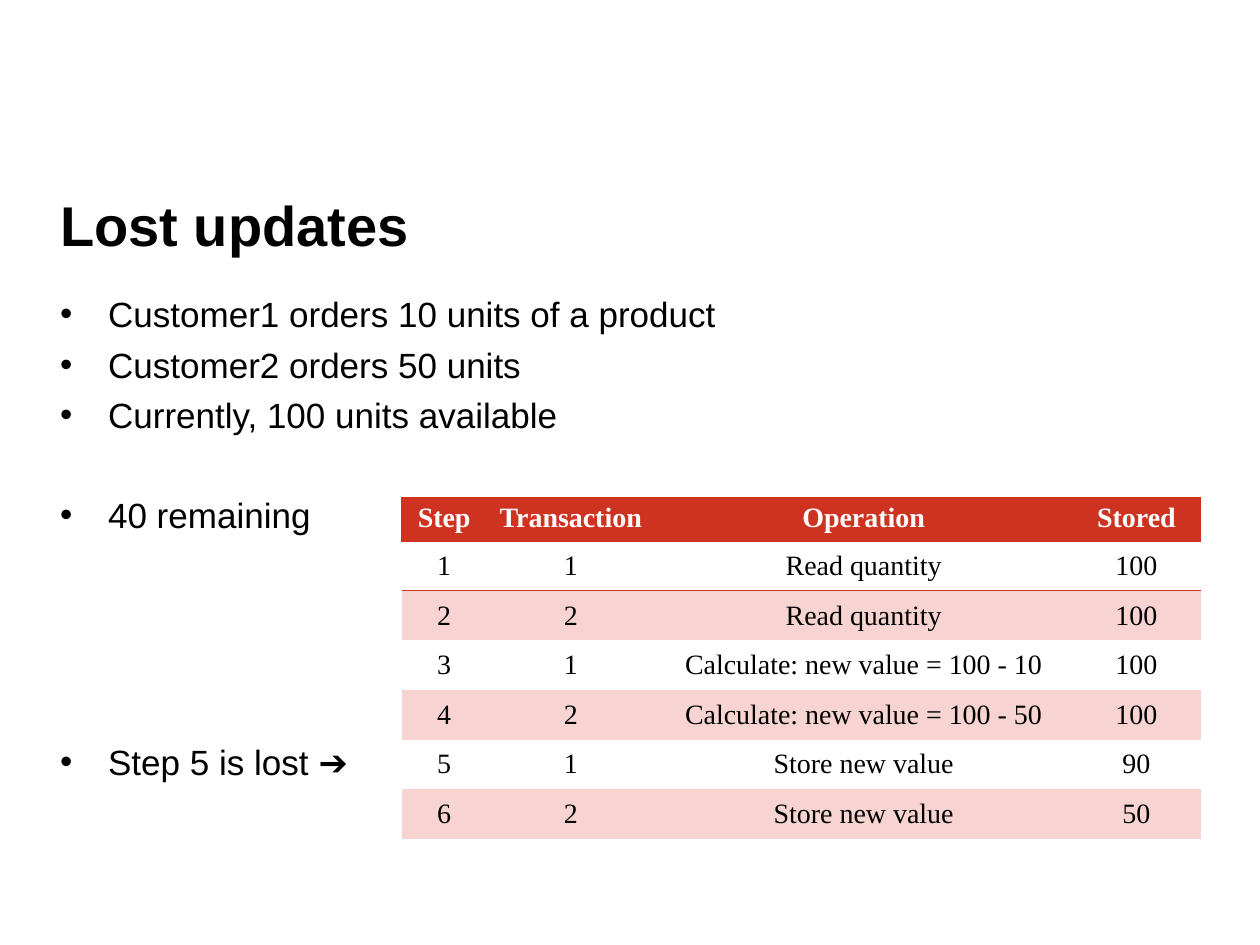
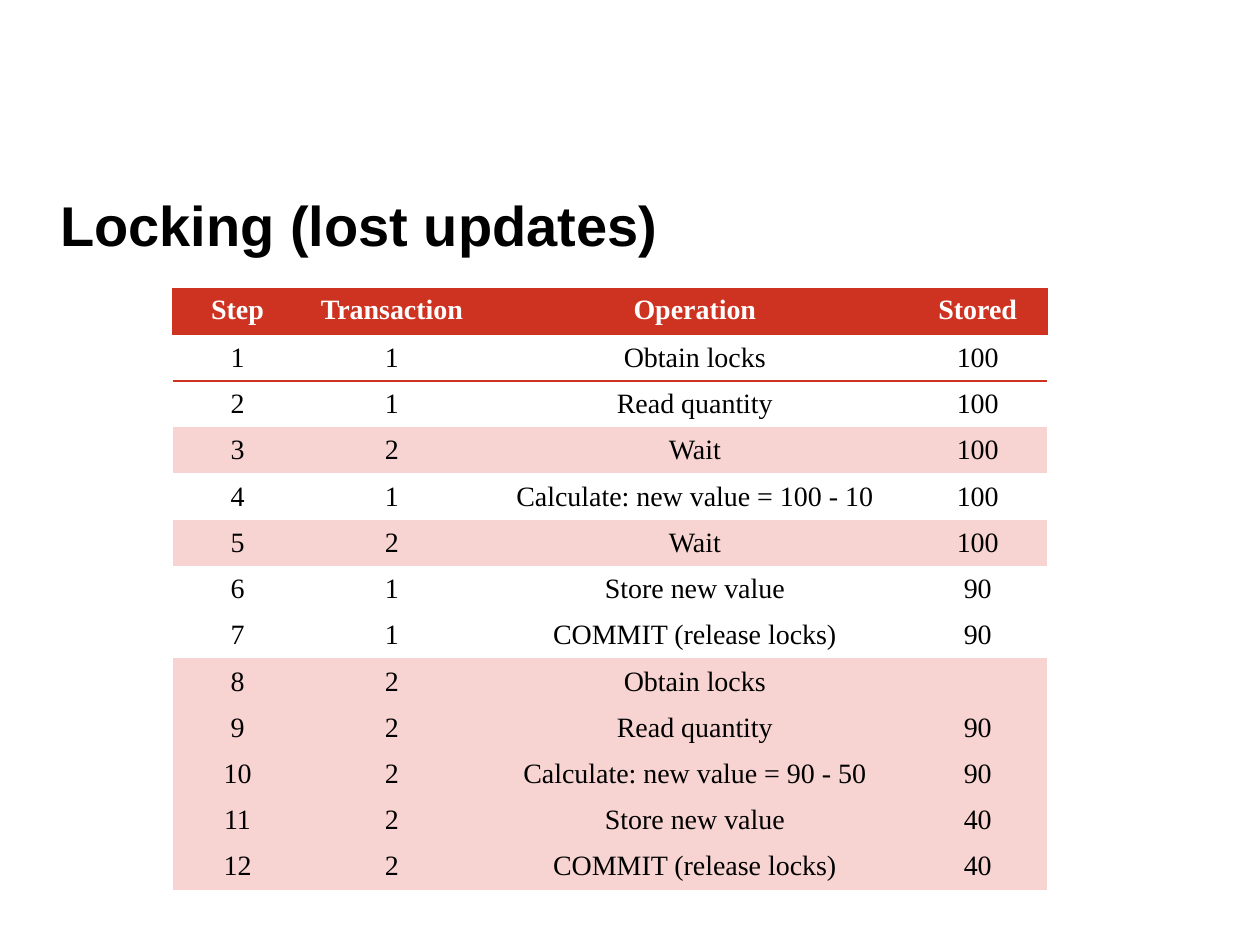
from lxml import etree
from pptx import Presentation
from pptx.dml.color import RGBColor
from pptx.enum.text import MSO_ANCHOR, PP_ALIGN
from pptx.oxml.ns import qn
from pptx.util import Inches, Pt

BLACK = RGBColor(0x00, 0x00, 0x00)
WHITE = RGBColor(0xFF, 0xFF, 0xFF)
RED = RGBColor(0xCE, 0x33, 0x22)
PINK = RGBColor(0xF7, 0xD4, 0xD1)
TOP, MIDDLE = MSO_ANCHOR.TOP, MSO_ANCHOR.MIDDLE
CENTER = PP_ALIGN.CENTER

TITLE_FONT = {"name": "Arial", "size": Pt(32), "bold": True}
BULLET_FONT = {"name": "Arial", "size": Pt(20), "bold": False}
HEADER_FONT = {"name": "Times New Roman", "size": Pt(16), "bold": True}
STEP_FONT = {**HEADER_FONT, "bold": False}

TITLE_BOX = (0.38, 1.4, 9.24, 0.76)
BULLET_BOX = (0.38, 2.27, 9.24, 4.62)
BULLET_INDENT = Inches(0.38)
BULLET_GAP = 5
LINE_PITCH = 28
NO_GRID_STYLE = "{2D5ABB26-0587-4C30-8999-92F81FD0307C}"
HEADINGS = ("Step", "Transaction", "Operation", "Stored")

BULLETS = [
    ("Customer1 orders 10 units of a product", 0),
    ("Customer2 orders 50 units", 0),
    ("Currently, 100 units available", 0),
    ("40 remaining", 1),
    ("Step 5 is lost \u2794", 4),
]
LOST_STEPS = [
    (1, "Read quantity", "100"),
    (2, "Read quantity", "100"),
    (1, "Calculate: new value = 100 - 10", "100"),
    (2, "Calculate: new value = 100 - 50", "100"),
    (1, "Store new value", "90"),
    (2, "Store new value", "50"),
]
LOCKED_STEPS = [
    (1, "Obtain locks", "100"),
    (1, "Read quantity", "100"),
    (2, "Wait", "100"),
    (1, "Calculate: new value = 100 - 10", "100"),
    (2, "Wait", "100"),
    (1, "Store new value", "90"),
    (1, "COMMIT (release locks)", "90"),
    (2, "Obtain locks", ""),
    (2, "Read quantity", "90"),
    (2, "Calculate: new value = 90 - 50", "90"),
    (2, "Store new value", "40"),
    (2, "COMMIT (release locks)", "40"),
]


def style_font(font, look, color):
    """Apply a dict of font values and a colour."""
    for key, value in look.items():
        setattr(font, key, value)
    font.color.rgb = color


def add_text_frame(slide, box):
    """Add a wrapping text box and return its text frame."""
    frame = slide.shapes.add_textbox(*map(Inches, box)).text_frame
    frame.word_wrap = True
    return frame


def add_title(slide, box, title):
    """Write the slide title, centred vertically in its box."""
    frame = add_text_frame(slide, box)
    frame.vertical_anchor = MIDDLE
    frame.text = title
    style_font(frame.paragraphs[0].runs[0].font, TITLE_FONT, BLACK)


def add_bullets(slide, box, bullets):
    """Write bullets, each following a number of skipped lines."""
    frame = add_text_frame(slide, box)
    for index, (text, skipped) in enumerate(bullets):
        bullet = frame.add_paragraph() if index else frame.paragraphs[0]
        bullet.space_before = Pt(BULLET_GAP + skipped * LINE_PITCH if index else 2)
        run = bullet.add_run()
        run.text = text
        style_font(run.font, BULLET_FONT, BLACK)
        properties = bullet._p.get_or_add_pPr()
        properties.set("marL", str(BULLET_INDENT))
        properties.set("indent", str(-BULLET_INDENT))
        etree.SubElement(properties, qn("a:buFont"), typeface="Arial")
        etree.SubElement(properties, qn("a:buChar"), char="\u2022")


def add_borders(cell, sides):
    """Draw thin red borders on the named sides of a cell."""
    properties = cell._tc.get_or_add_tcPr()
    for position, side in enumerate(sides):
        line = etree.Element(qn(f"a:ln{side}"), w=str(Pt(0.75)))
        fill = etree.SubElement(line, qn("a:solidFill"))
        etree.SubElement(fill, qn("a:srgbClr"), val=str(RED))
        properties.insert(position, line)


def fill_cell(cell, text, look, color, fill, anchor, inset):
    """Write one centred table cell and paint its background."""
    cell.text = text
    cell.vertical_anchor = anchor
    for side in ("left", "right", "top", "bottom"):
        setattr(cell, f"margin_{side}", Inches(inset))
    paragraph = cell.text_frame.paragraphs[0]
    paragraph.alignment = CENTER
    style_font(paragraph.font, look, color)
    for run in paragraph.runs:
        style_font(run.font, look, color)
    if fill is None:
        cell.fill.background()
    else:
        cell.fill.solid()
        cell.fill.fore_color.rgb = fill


def add_schedule(slide, box, widths, steps, header_height, header_inset):
    """Build the step table, shading the rows of transaction 2."""
    frame = slide.shapes.add_table(len(steps) + 1, len(HEADINGS), *map(Inches, box))
    schedule = frame.table
    schedule.horz_banding = False
    schedule._tbl.tblPr.find(qn("a:tableStyleId")).text = NO_GRID_STYLE
    for column, width in zip(schedule.columns, widths):
        column.width = Inches(width)
    step_height = (box[3] - header_height) / len(steps)
    for index, row in enumerate(schedule.rows):
        row.height = Inches(step_height if index else header_height)
    for column, heading in enumerate(HEADINGS):
        cell = schedule.cell(0, column)
        fill_cell(cell, heading, HEADER_FONT, WHITE, RED, TOP, header_inset)
        add_borders(cell, "LRTB")
    for number, (transaction, operation, stored) in enumerate(steps, 1):
        fill = PINK if transaction == 2 else None
        values = (str(number), str(transaction), operation, stored)
        for column, value in enumerate(values):
            cell = schedule.cell(number, column)
            fill_cell(cell, value, STEP_FONT, BLACK, fill, MIDDLE, 0.05)
            if number == 1:
                add_borders(cell, "T")


def add_slide(deck, title):
    """Add a blank slide with the shared title."""
    slide = deck.slides.add_slide(deck.slide_layouts[6])
    add_title(slide, TITLE_BOX, title)
    return slide


def main():
    """Build and save both slides."""
    deck = Presentation()
    deck.slide_width, deck.slide_height = Inches(10), Inches(7.5)

    lost = add_slide(deck, "Lost updates")
    add_schedule(lost, (3.19, 3.95, 6.34, 2.7), (0.67, 1.34, 3.31, 1.02),
                 LOST_STEPS, 0.34, 0.04)
    add_bullets(lost, BULLET_BOX, BULLETS)

    locking = add_slide(deck, "Locking (lost updates)")
    add_schedule(locking, (1.37, 2.29, 6.94, 4.74), (1.03, 1.42, 3.39, 1.1),
                 LOCKED_STEPS, 0.36, 0.05)

    deck.save("out.pptx")


main()
